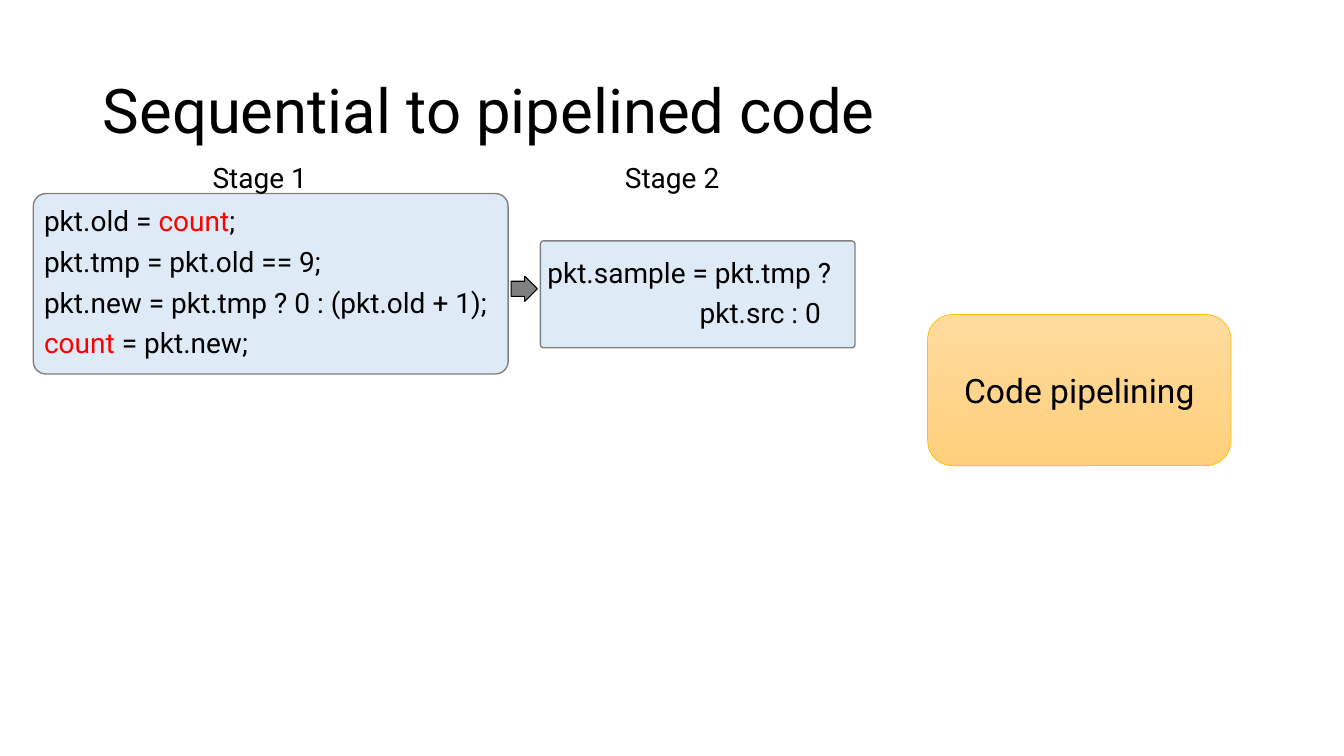
from pptx import Presentation
from pptx.dml.color import RGBColor
from pptx.enum.shapes import MSO_SHAPE
from pptx.enum.text import MSO_ANCHOR, PP_ALIGN
from pptx.util import Inches, Pt

ROUND, ARROW = MSO_SHAPE.ROUNDED_RECTANGLE, MSO_SHAPE.RIGHT_ARROW
MIDDLE = MSO_ANCHOR.MIDDLE
LEFT, CENTER = PP_ALIGN.LEFT, PP_ALIGN.CENTER
FONT = "Roboto"
COLORS = {
    "text": "000000", "state": "FF0000", "stage": "DEEBF7", "gray": "808080",
    "gold": "FFC000", "top": "FFDB9E", "base": "FFD07C",
}
LABEL_W, LABEL_H = 1.16, 0.44

# Each code line is an indent in inches and its (text, color) pieces.
STAGES = [
    ("Stage 1", (0.33, 1.92, 4.71, 1.79), 2.01, 0.07, 0.07, [
        (0, [("pkt.old = ", "text"), ("count", "state"), (";", "text")]),
        (0, [("pkt.tmp = pkt.old == 9;", "text")]),
        (0, [("pkt.new = pkt.tmp ? 0 : (pkt.old + 1);", "text")]),
        (0, [("count ", "state"), ("= pkt.new;", "text")]),
    ]),
    ("Stage 2", (5.36, 2.39, 3.12, 1.06), 6.1, 0.06, 0.03, [
        (0, [("pkt.sample = pkt.tmp ?", "text")]),
        (1.51, [("pkt.src : 0", "text")]),
    ]),
]


def color(name):
    return RGBColor.from_string(COLORS[name])


def style(para, size, align=LEFT):
    para.alignment = align
    para.font.name, para.font.size = FONT, Pt(size)
    para.font.color.rgb = color("text")


def add_shape(slide, kind, box, line, width, fill=None):
    shape = slide.shapes.add_shape(kind, *map(Inches, box))
    shape.shadow.inherit = False
    shape.line.color.rgb = color(line)
    shape.line.width = Pt(width)
    if fill:
        shape.fill.solid()
        shape.fill.fore_color.rgb = color(fill)
    return shape


def add_title(slide, box, text):
    title = slide.shapes.title
    title.left, title.top, title.width, title.height = map(Inches, box)
    frame = title.text_frame
    frame.text = text
    frame.vertical_anchor = MIDDLE
    para = frame.paragraphs[0]
    style(para, 44)
    para.line_spacing = 0.9


def add_label(slide, box, text):
    frame = slide.shapes.add_textbox(*map(Inches, box)).text_frame
    frame.word_wrap = False
    frame.text = text
    style(frame.paragraphs[0], 20)


def add_code(slide, box, inset, corner, lines):
    shape = add_shape(slide, ROUND, box, "gray", 1, "stage")
    shape.adjustments[0] = corner
    frame = shape.text_frame
    frame.vertical_anchor = MIDDLE
    frame.margin_left = frame.margin_right = Inches(inset)
    frame.margin_top = frame.margin_bottom = Inches(inset)
    for i, (indent, parts) in enumerate(lines):
        para = frame.add_paragraph() if i else frame.paragraphs[0]
        style(para, 20)
        para.line_spacing, para.space_after = 0.9, Pt(7.4)
        if indent:
            props = para._p.get_or_add_pPr()
            props.set("marL", str(Inches(indent)))
            props.set("indent", "0")
        for text, tone in parts:
            run = para.add_run()
            run.text = text
            if tone != "text":
                run.font.color.rgb = color(tone)


def add_arrow(slide, box):
    arrow = add_shape(slide, ARROW, box, "text", 0.75, "gray")
    arrow.adjustments[0] = 0.6


def add_step(slide, box, text):
    shape = add_shape(slide, ROUND, box, "gold", 0.5)
    shape.fill.gradient()
    shape.fill.gradient_angle = 270
    for stop, tone in zip(shape.fill.gradient_stops, ("top", "base")):
        stop.color.rgb = color(tone)
    frame = shape.text_frame
    frame.text = text
    frame.vertical_anchor = MIDDLE
    style(frame.paragraphs[0], 24, CENTER)


def main():
    prs = Presentation()
    prs.slide_width, prs.slide_height = Inches(13.33), Inches(7.5)
    slide = prs.slides.add_slide(prs.slide_layouts[5])
    add_title(slide, (0.92, 0.4, 11.5, 1.45), "Sequential to pipelined code")
    add_step(slide, (9.2, 3.12, 3.01, 1.5), "Code pipelining")
    for name, box, left, inset, corner, lines in STAGES:
        add_code(slide, box, inset, corner, lines)
        add_label(slide, (left, 1.54, LABEL_W, LABEL_H), name)
    add_arrow(slide, (5.07, 2.74, 0.26, 0.25))
    prs.save("out.pptx")


if __name__ == "__main__":
    main()
